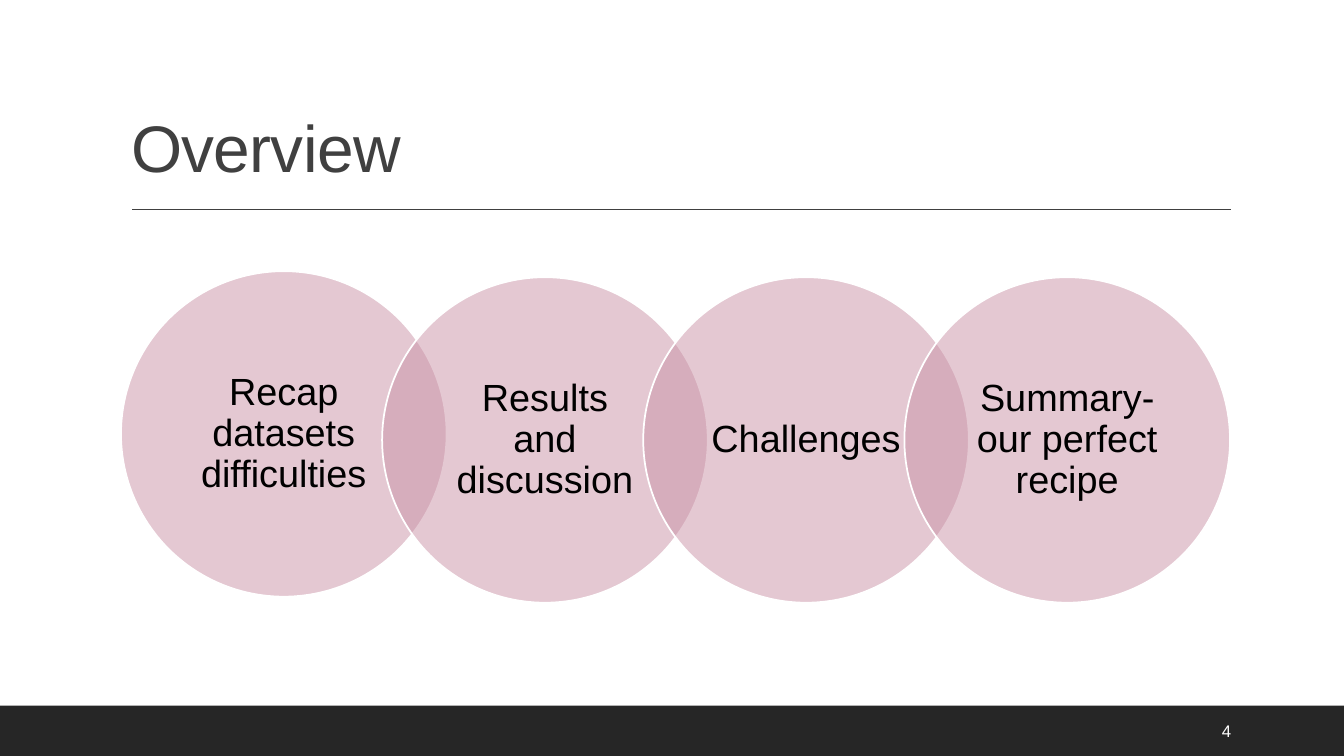
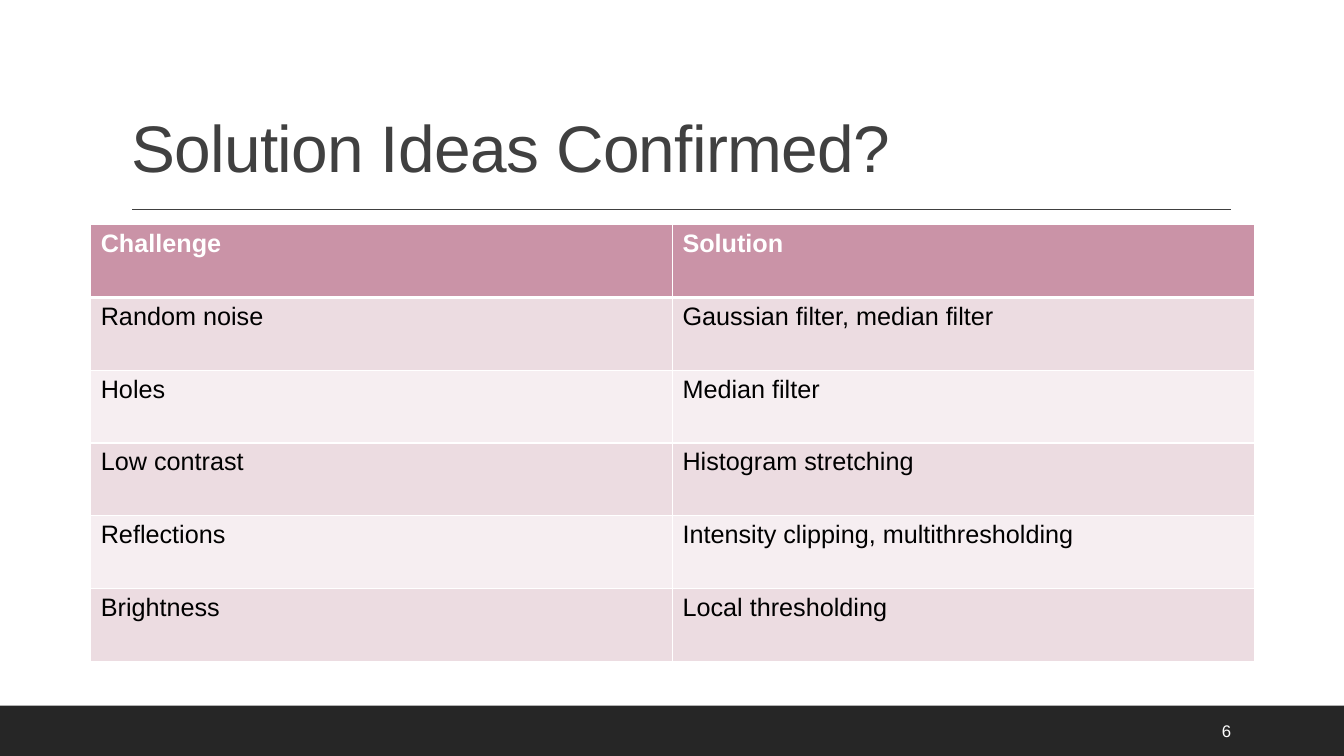
"""Build the overview and solution slides."""
from dataclasses import dataclass

from lxml import etree
from pptx import Presentation
from pptx.dml.color import RGBColor
from pptx.enum.shapes import MSO_CONNECTOR, MSO_SHAPE
from pptx.enum.text import MSO_ANCHOR, MSO_AUTO_SIZE, PP_ALIGN
from pptx.oxml.ns import qn
from pptx.slide import Slide
from pptx.util import Inches, Pt

RECT, OVAL = MSO_SHAPE.RECTANGLE, MSO_SHAPE.OVAL
STRAIGHT = MSO_CONNECTOR.STRAIGHT
MIDDLE, BOTTOM = MSO_ANCHOR.MIDDLE, MSO_ANCHOR.BOTTOM
LEFT, CENTER = PP_ALIGN.LEFT, PP_ALIGN.CENTER
NO_AUTOFIT = MSO_AUTO_SIZE.NONE
TITLE_ONLY = 5


@dataclass(frozen=True)
class Theme:
    font: str = "Arial"
    white: str = "FFFFFF"
    black: str = "000000"
    grey: str = "404040"
    band: str = "262626"
    pink: str = "CA93A7"
    row_dark: str = "ECDCE1"
    row_light: str = "F6EEF1"
    title_size: int = 47
    circle_size: int = 27
    table_size: int = 18
    number_size: int = 12


@dataclass(frozen=True)
class Circle:
    text: str
    top: float = 2.75


THEME = Theme()
WIDTH, HEIGHT, BAND_HEIGHT = 13.33, 7.5, 0.5
CIRCLE_LEFT, CIRCLE_SIZE, CIRCLE_STEP = 1.2, 3.23, 2.59
CIRCLES = [
    Circle("Recap datasets difficulties", 2.69),
    Circle("Results and discussion"),
    Circle("Challenges"),
    Circle("Summary- our perfect recipe"),
]
ROWS = [
    ("Challenge", "Solution"),
    ("Random noise", "Gaussian filter, median filter"),
    ("Holes", "Median filter"),
    ("Low contrast", "Histogram stretching"),
    ("Reflections", "Intensity clipping, multithresholding"),
    ("Brightness", "Local thresholding"),
]


def rgb(color: str) -> RGBColor:
    """Turn a hex string into a colour."""
    return RGBColor.from_string(color)


def write(tf, text: str, size: int, color: str, align=LEFT, bold: bool = False):
    """Put one formatted paragraph in a text frame and return it."""
    p = tf.paragraphs[0]
    p.text = text
    p.alignment = align
    font = p.font
    font.name, font.size, font.bold = THEME.font, Pt(size), bold
    font.color.rgb = rgb(color)
    return p


def add_frame(prs, title: str, number: int) -> Slide:
    """Add a slide with its band, rule, title and number."""
    s = prs.slides.add_slide(prs.slide_layouts[TITLE_ONLY])
    band = s.shapes.add_shape(RECT, 0, Inches(HEIGHT - BAND_HEIGHT),
                              Inches(WIDTH), Inches(BAND_HEIGHT))
    band.shadow.inherit = False
    band.fill.solid()
    band.fill.fore_color.rgb = rgb(THEME.band)
    band.line.fill.background()

    rule = s.shapes.add_connector(STRAIGHT, Inches(1.31), Inches(2.08),
                                  Inches(12.21), Inches(2.08))
    rule.line.color.rgb = rgb(THEME.grey)
    rule.line.width = Pt(1)
    etree.SubElement(rule._element.spPr, qn("a:effectLst"))

    sp = s.shapes.title
    sp.left, sp.top = Inches(1.2), Inches(0.31)
    sp.width, sp.height = Inches(11), Inches(1.59)
    tf = sp.text_frame
    tf.auto_size, tf.vertical_anchor = NO_AUTOFIT, BOTTOM
    p = write(tf, title, THEME.title_size, THEME.grey)
    p.line_spacing = 0.9
    p.runs[0]._r.get_or_add_rPr().set("spc", "-50")

    box = s.shapes.add_textbox(Inches(12.02), Inches(7.05), Inches(0.85), Inches(0.4))
    tf = box.text_frame
    tf.word_wrap, tf.vertical_anchor = True, MIDDLE
    write(tf, str(number), THEME.number_size, THEME.white)
    return s


def add_circle(s: Slide, circle: Circle, left: float) -> None:
    """Draw one half-transparent labelled circle."""
    sp = s.shapes.add_shape(OVAL, Inches(left), Inches(circle.top),
                            Inches(CIRCLE_SIZE), Inches(CIRCLE_SIZE))
    sp.shadow.inherit = False
    sp.fill.solid()
    sp.fill.fore_color.rgb = rgb(THEME.pink)
    color = sp._element.spPr.find(qn("a:solidFill")).find(qn("a:srgbClr"))
    etree.SubElement(color, qn("a:alpha"), val="50000")
    sp.line.color.rgb = rgb(THEME.white)
    sp.line.width = Pt(1.25)
    tf = sp.text_frame
    tf.word_wrap, tf.vertical_anchor = True, MIDDLE
    tf.margin_left = tf.margin_right = Inches(0.18)
    tf.margin_top = tf.margin_bottom = Inches(0.04)
    p = write(tf, circle.text, THEME.circle_size, THEME.black, CENTER)
    p.line_spacing = 0.9


def set_borders(cell, top: int, bottom: int) -> None:
    """Give a cell white borders, with top and bottom widths in points."""
    tc_pr = cell._tc.get_or_add_tcPr()
    for side, width in (("L", 1), ("R", 1), ("T", top), ("B", bottom)):
        ln = etree.SubElement(tc_pr, qn(f"a:ln{side}"), w=str(Pt(width)))
        fill = etree.SubElement(ln, qn("a:solidFill"))
        etree.SubElement(fill, qn("a:srgbClr"), val=THEME.white)


def add_solution_table(s: Slide) -> None:
    """Draw the table of challenges and solutions."""
    frame = s.shapes.add_table(len(ROWS), len(ROWS[0]), Inches(0.9), Inches(2.23),
                               Inches(11.54), Inches(4.33))
    for i, row in enumerate(ROWS):
        header = i == 0
        fill = THEME.pink if header else THEME.row_dark if i % 2 else THEME.row_light
        for j, text in enumerate(row):
            cell = frame.table.cell(i, j)
            set_borders(cell, top=3 if i == 1 else 1, bottom=3 if header else 1)
            cell.fill.solid()
            cell.fill.fore_color.rgb = rgb(fill)
            write(cell.text_frame, text, THEME.table_size,
                  THEME.white if header else THEME.black, bold=header)


def main() -> None:
    """Build and save the presentation."""
    prs = Presentation()
    prs.slide_width, prs.slide_height = Inches(WIDTH), Inches(HEIGHT)
    overview = add_frame(prs, "Overview", 4)
    for i, circle in enumerate(CIRCLES):
        add_circle(overview, circle, CIRCLE_LEFT + i * CIRCLE_STEP)
    add_solution_table(add_frame(prs, "Solution Ideas Confirmed?", 6))
    prs.save("out.pptx")


if __name__ == "__main__":
    main()
